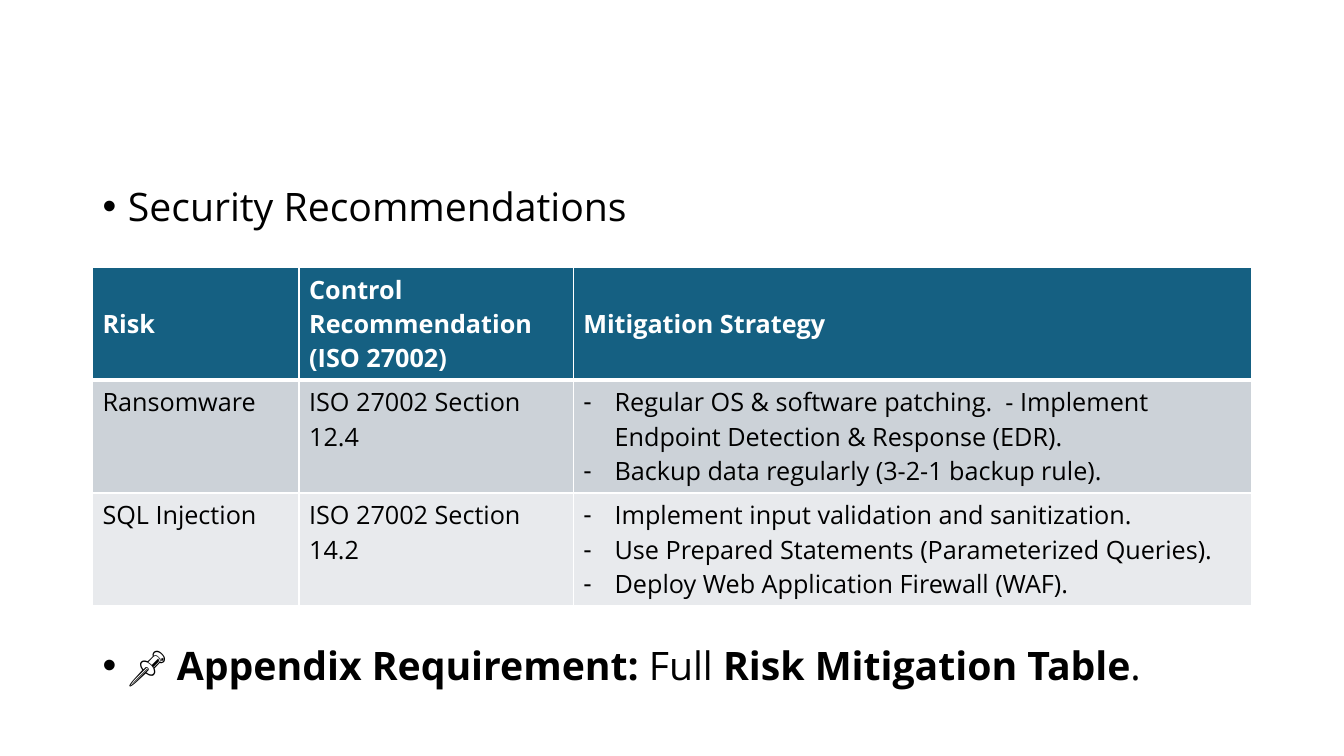
from dataclasses import dataclass

from lxml import etree
from pptx import Presentation
from pptx.dml.color import RGBColor
from pptx.enum.text import MSO_ANCHOR, MSO_AUTO_SIZE
from pptx.oxml.ns import qn
from pptx.util import Cm, Pt

MIDDLE, TOP = MSO_ANCHOR.MIDDLE, MSO_ANCHOR.TOP
NO_AUTOFIT = MSO_AUTO_SIZE.NONE


@dataclass(frozen=True)
class Theme:
    font: str = "Open Sans"
    text: str = "000000"
    header_text: str = "FFFFFF"
    header_fill: str = "156082"
    band_fills: tuple = ("CCD2D8", "E8EAED")
    border: str = "FFFFFF"
    point_size: int = 28
    cell_size: int = 18


THEME = Theme()
POINTS_BOX = (2.33, 4.7, 29.21, 13.34)
TABLE_BOX = (2.33, 6.73, 29.21, 8.54)
COLUMN_SHARES = (2.05, 2.72, 6.73)
POINTS = [
    (10, [("Security Recommendations", False)]),
    (301, [("📌 ", False), ("Appendix Requirement:", True), (" Full ", False),
           ("Risk Mitigation Table", True), (".", False)]),
]
HEADINGS = ["Risk", "Control Recommendation (ISO 27002)", "Mitigation Strategy"]
RISKS = [
    ("Ransomware", "ISO 27002 Section 12.4", [
        "Regular OS & software patching.  - Implement Endpoint Detection & Response (EDR).",
        "Backup data regularly (3-2-1 backup rule)."]),
    ("SQL Injection", "ISO 27002 Section 14.2", [
        "Implement input validation and sanitization.",
        "Use Prepared Statements (Parameterized Queries).",
        "Deploy Web Application Firewall (WAF)."]),
]


def apply_format(target, values):
    for name, value in values.items():
        setattr(target, name, value)


def add_run(paragraph, text, size, color, bold=False):
    run = paragraph.add_run()
    run.text = text
    apply_format(run.font, {"name": THEME.font, "size": Pt(size), "bold": bold})
    run.font.color.rgb = RGBColor.from_string(color)


def set_bullet(paragraph, mark, indent):
    properties = paragraph._p.get_or_add_pPr()
    properties.set("marL", str(Cm(indent)))
    properties.set("indent", str(-Cm(indent)))
    etree.SubElement(properties, qn("a:buFont"), typeface="Arial")
    etree.SubElement(properties, qn("a:buChar"), char=mark)


def set_borders(cell, top, bottom):
    properties = cell._tc.get_or_add_tcPr()
    widths = {"a:lnL": 1, "a:lnR": 1, "a:lnT": top, "a:lnB": bottom}
    for position, (side, width) in enumerate(widths.items()):
        line = etree.Element(qn(side), w=str(Pt(width)))
        fill = etree.SubElement(line, qn("a:solidFill"))
        etree.SubElement(fill, qn("a:srgbClr"), val=THEME.border)
        properties.insert(position, line)


def add_points(body, box):
    apply_format(body, dict(zip(("left", "top", "width", "height"), map(Cm, box))))
    frame = body.text_frame
    apply_format(frame, {"auto_size": NO_AUTOFIT, "word_wrap": True,
                         "vertical_anchor": TOP})
    for index, (space, runs) in enumerate(POINTS):
        paragraph = frame.add_paragraph() if index else frame.paragraphs[0]
        apply_format(paragraph, {"line_spacing": 0.8, "space_before": Pt(space)})
        set_bullet(paragraph, "•", 0.64)
        for text, bold in runs:
            add_run(paragraph, text, THEME.point_size, THEME.text, bold)


def fill_cell(cell, content, fill, color, header):
    cell.fill.solid()
    cell.fill.fore_color.rgb = RGBColor.from_string(fill)
    cell.vertical_anchor = MIDDLE if header else TOP
    listed = isinstance(content, list)
    for index, text in enumerate(content if listed else [content]):
        frame = cell.text_frame
        paragraph = frame.add_paragraph() if index else frame.paragraphs[0]
        if listed:
            set_bullet(paragraph, "-", 0.79)
        add_run(paragraph, text, THEME.cell_size, color, header)


def add_risk_table(slide, box):
    rows = [HEADINGS, *RISKS]
    table = slide.shapes.add_table(len(rows), len(HEADINGS), *map(Cm, box)).table
    for column, share in zip(table.columns, COLUMN_SHARES):
        column.width = Cm(box[2] * share / sum(COLUMN_SHARES))
    for row_index, contents in enumerate(rows):
        header = row_index == 0
        fill = THEME.header_fill if header else THEME.band_fills[(row_index - 1) % 2]
        color = THEME.header_text if header else THEME.text
        for column_index, content in enumerate(contents):
            cell = table.cell(row_index, column_index)
            fill_cell(cell, content, fill, color, header)
            set_borders(cell, 3 if row_index == 1 else 1, 3 if header else 1)


def add_recommendations_slide(deck):
    slide = deck.slides.add_slide(deck.slide_layouts[1])
    title = slide.shapes.title
    title._element.getparent().remove(title._element)
    add_points(slide.placeholders[1], POINTS_BOX)
    add_risk_table(slide, TABLE_BOX)


def main():
    deck = Presentation()
    apply_format(deck, {"slide_width": Cm(33.87), "slide_height": Cm(19.05)})
    add_recommendations_slide(deck)
    deck.save("out.pptx")


if __name__ == "__main__":
    main()
